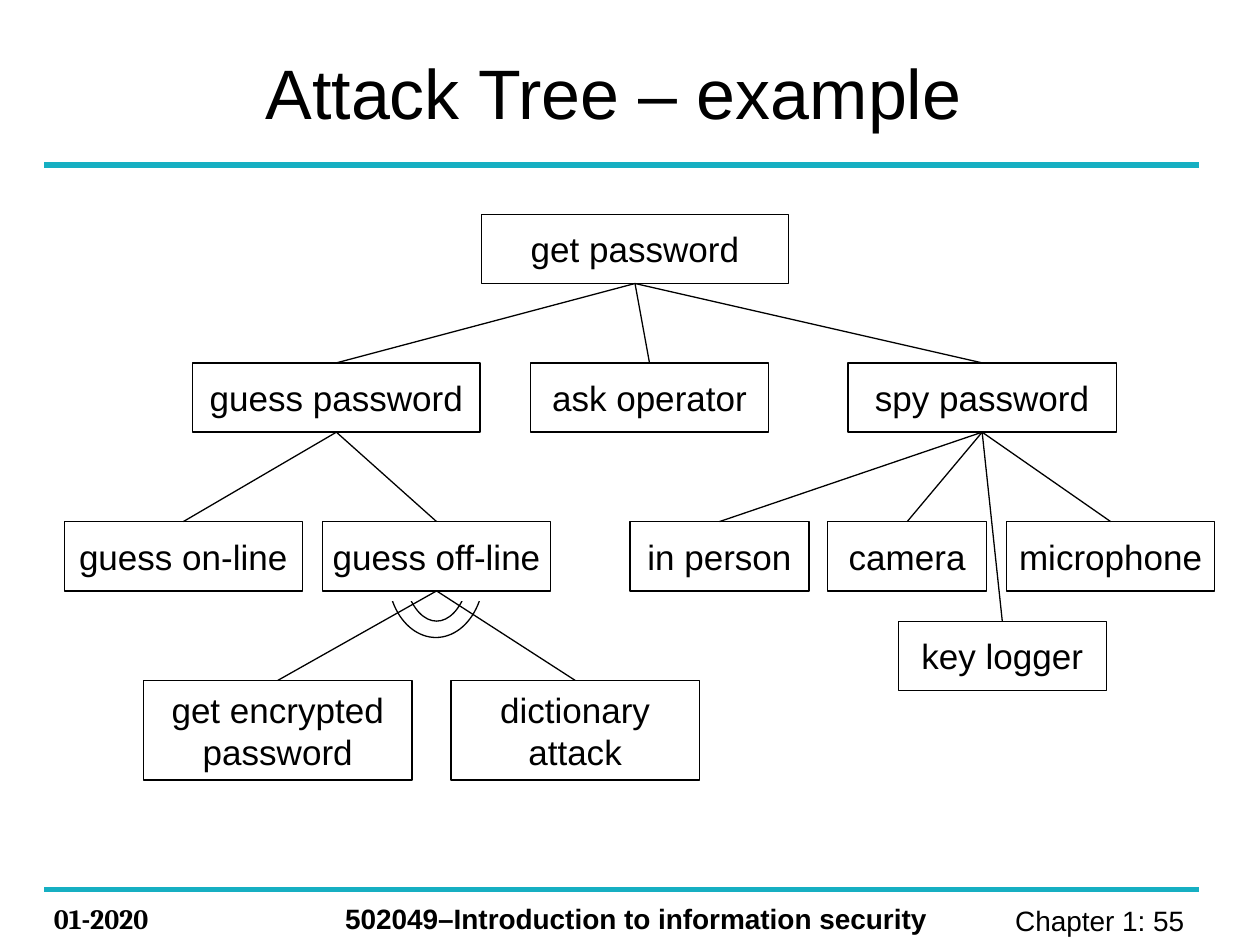
from pptx import Presentation
from pptx import util as u
from pptx.dml.color import RGBColor
from pptx.enum import shapes, text
from pptx.oxml.ns import qn
from lxml import etree

BLACK, WHITE, TEAL = "000000", "FFFFFF", "16AFC2"
BOTTOM, TOP = 2, 0


def colour(value):
    return RGBColor.from_string(value)


class TreePage:
    """Holds the style and the current slide."""

    font = "Arial"
    thin = 0.75

    def __init__(self, page):
        self.page = page

    def add_lines(self, frame, lines, size, align, bold=False, font=None):
        for index, line in enumerate(lines):
            para = frame.paragraphs[0] if index == 0 else frame.add_paragraph()
            para.alignment = align
            span = para.add_run()
            span.text = line
            span.font.name = font or self.font
            span.font.size = u.Pt(size)
            span.font.bold = bold
            span.font.color.rgb = colour(BLACK)

    def label(self, words, place, size, align=text.PP_ALIGN.LEFT,
              anchor=text.MSO_ANCHOR.TOP, bold=False, font=None):
        box = self.page.shapes.add_textbox(*map(u.Inches, place))
        box.text_frame.word_wrap = True
        box.text_frame.vertical_anchor = anchor
        self.add_lines(box.text_frame, [words], size, align, bold, font)

    def shape(self, kind, place, fill=None, line=BLACK):
        shape = self.page.shapes.add_shape(kind, *map(u.Inches, place))
        shape.shadow.inherit = False
        if fill:
            shape.fill.solid()
            shape.fill.fore_color.rgb = colour(fill)
        else:
            shape.fill.background()
        if line:
            shape.line.color.rgb = colour(line)
            shape.line.width = u.Pt(self.thin)
        else:
            shape.line.fill.background()
        return shape

    def node(self, words, place):
        box = self.shape(shapes.MSO_SHAPE.RECTANGLE, place)
        box.text_frame.word_wrap = False
        box.text_frame.vertical_anchor = text.MSO_ANCHOR.MIDDLE
        self.add_lines(box.text_frame, words.split("\n"), 20, text.PP_ALIGN.CENTER)
        return box

    def line(self, start, end, shade=BLACK, width=thin):
        line = self.page.shapes.add_connector(
            shapes.MSO_CONNECTOR.STRAIGHT, *map(u.Inches, (*start, *end)))
        line.line.color.rgb = colour(shade)
        line.line.width = u.Pt(width)
        etree.SubElement(line._element.spPr, qn("a:effectLst"))
        return line

    def branch(self, parent, child):
        line = self.line((0, 0), (1, 1))
        line.begin_connect(parent, BOTTOM)
        line.end_connect(child, TOP)


# Name: (left, top, width, height)
NODES = {
    "get password": (3.82, 1.7, 2.44, 0.55),
    "guess password": (1.53, 2.88, 2.28, 0.55),
    "ask operator": (4.21, 2.88, 1.89, 0.55),
    "spy password": (6.73, 2.88, 2.13, 0.55),
    "guess on-line": (0.51, 4.14, 1.89, 0.55),
    "guess off-line": (2.56, 4.14, 1.81, 0.55),
    "in person": (5, 4.14, 1.42, 0.55),
    "camera": (6.57, 4.14, 1.26, 0.55),
    "microphone": (7.99, 4.14, 1.65, 0.55),
    "key logger": (7.13, 4.93, 1.65, 0.55),
    "get encrypted\npassword": (1.14, 5.4, 2.13, 0.79),
    "dictionary\nattack": (3.58, 5.4, 1.97, 0.79),
}
BRANCHES = {
    "get password": ["guess password", "ask operator", "spy password"],
    "guess password": ["guess on-line", "guess off-line"],
    "spy password": ["in person", "camera", "microphone", "key logger"],
    "guess off-line": ["get encrypted\npassword", "dictionary\nattack"],
}


def main():
    deck = Presentation()
    deck.slide_width, deck.slide_height = u.Inches(10), u.Inches(7.5)
    tree = TreePage(deck.slides.add_slide(deck.slide_layouts[6]))

    # Rules, title and footer
    for y in (1.31, 7.06):
        tree.line((0.35, y), (9.52, y), TEAL, 3)
    tree.label("Attack Tree – example", (2.01, 0.29, 7.32, 0.87), 40,
               anchor=text.MSO_ANCHOR.MIDDLE)
    tree.label("01-2020", (0.33, 7.11, 1.33, 0.37), 16, bold=True, font="Cambria")
    tree.label("502049–Introduction to information security",
               (2.64, 7.11, 5.04, 0.37), 16, bold=True)
    tree.label("Chapter 1: 55 ", (7.36, 7.12, 2.2, 0.37), 16,
               align=text.PP_ALIGN.RIGHT)

    # Double AND arc: two ellipses with their upper part covered
    for place in ((3.08, 4.06, 0.76, 1), (3.19, 3.93, 0.55, 1)):
        tree.shape(shapes.MSO_SHAPE.OVAL, place)
    tree.shape(shapes.MSO_SHAPE.RECTANGLE, (2.8, 3.67, 1.26, 1.1), WHITE, None)

    # Nodes and branches
    boxes = {name: tree.node(name, place) for name, place in NODES.items()}
    for parent, children in BRANCHES.items():
        for child in children:
            tree.branch(boxes[parent], boxes[child])

    deck.save("out.pptx")


if __name__ == "__main__":
    main()
